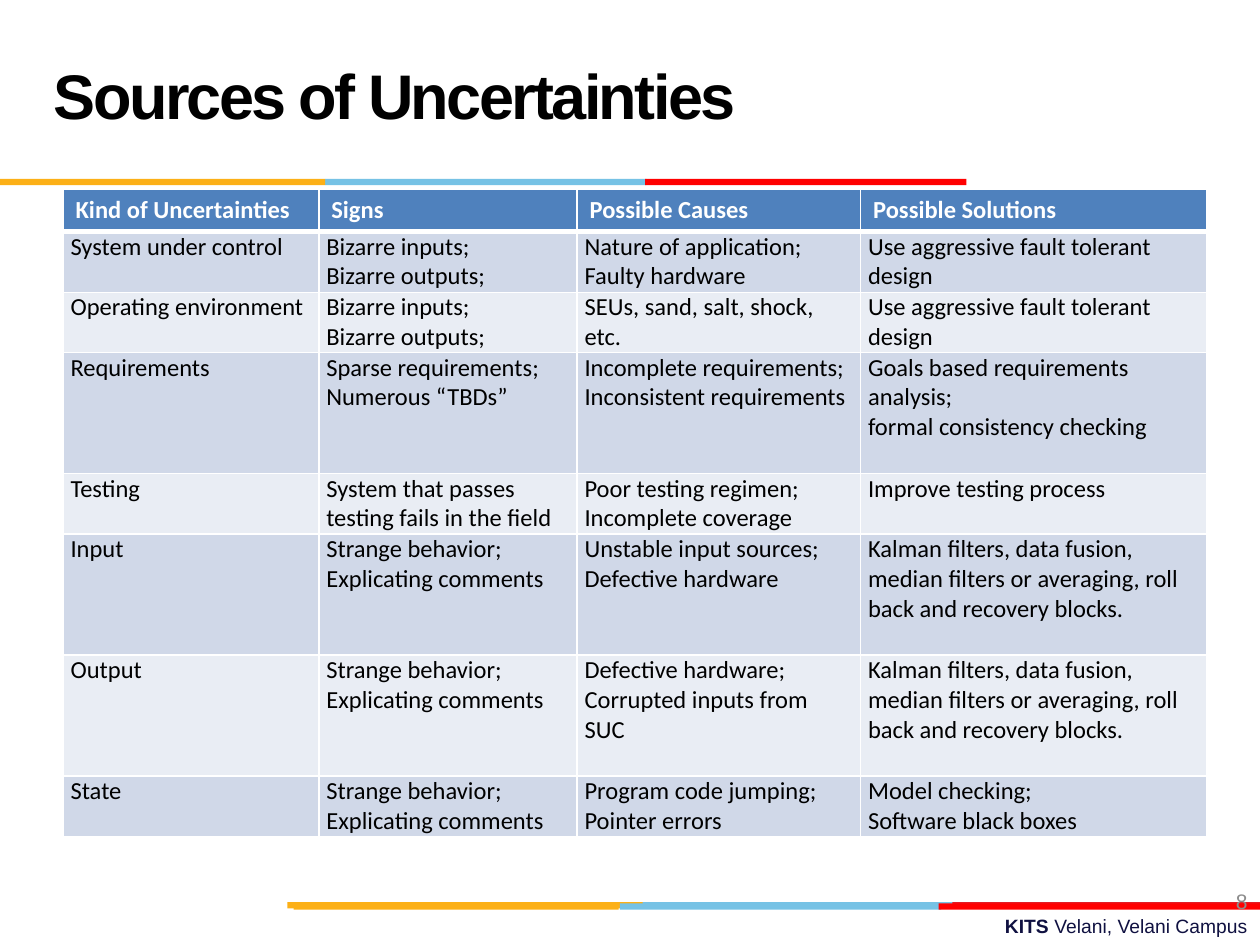
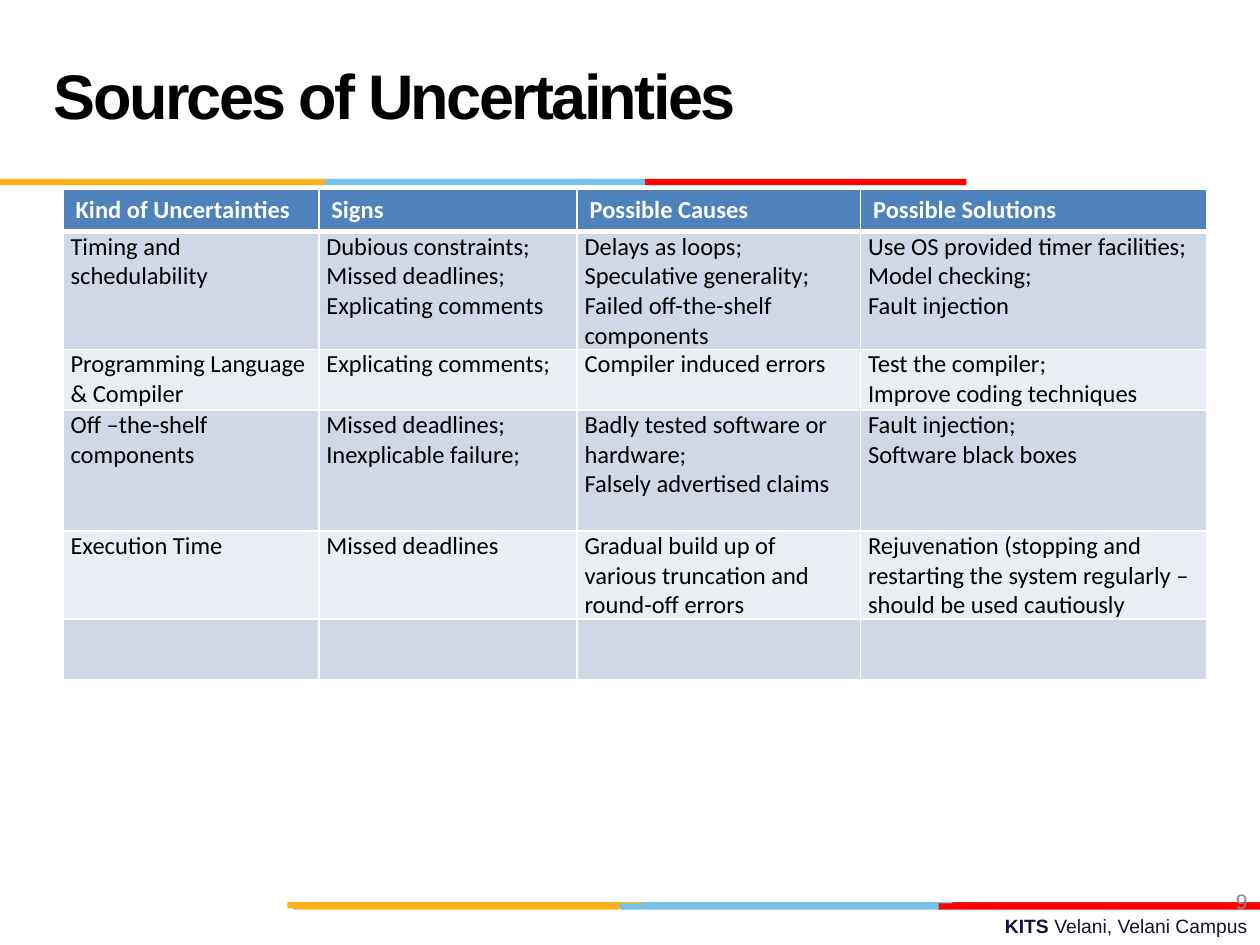
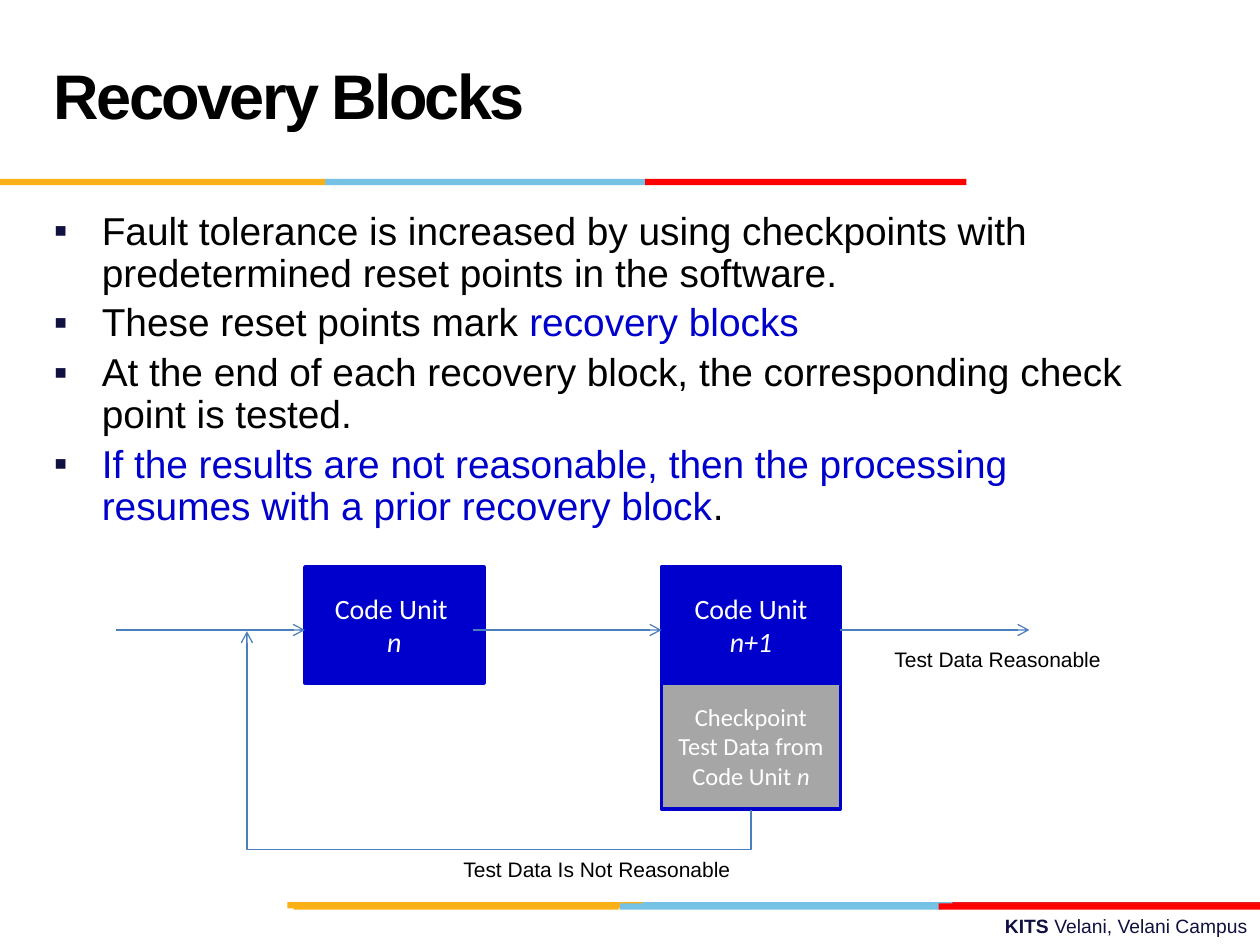
from dataclasses import dataclass

from pptx import Presentation
from pptx.dml.color import RGBColor
from pptx.enum.shapes import MSO_CONNECTOR as CONN, MSO_SHAPE as SHAPE
from pptx.enum.text import MSO_ANCHOR as ANCHOR, PP_ALIGN as ALIGN
from pptx.oxml.ns import qn
from pptx.util import Inches, Pt
from lxml.etree import SubElement


@dataclass(frozen=True)
class Theme:
    head_font: str = "Arial"
    table_font: str = "Calibri"
    black: str = "000000"
    white: str = "FFFFFF"
    navy: str = "101141"
    blue: str = "0000CC"
    gray: str = "A6A6A6"
    number: str = "8C8C8C"
    arrow: str = "4B7EBC"
    gold: str = "FCB017"
    sky: str = "76C2E5"
    crimson: str = "E31C24"
    red: str = "FF0000"
    header: str = "4F81BD"
    rows: tuple = ("D0D8E8", "E9EDF4")
    title_pt: float = 36
    body_pt: float = 22.2
    unit_pt: float = 16
    table_pt: float = 14
    label_pt: float = 12
    footer_pt: float = 11


T = Theme()

BAND_H = 0.05
BANDS = [  # left, top, width, colour
    (5.06, 7.16, 2.55, T.sky), (7.56, 7.16, 2.44, T.crimson), (2.28, 7.16, 2.82, T.gold),
    (4.92, 7.17, 2.55, T.sky), (2.33, 7.17, 2.58, T.gold), (7.45, 7.17, 2.55, T.red),
    (2.58, 1.42, 2.55, T.sky), (0, 1.42, 2.58, T.gold), (5.12, 1.42, 2.55, T.red),
]
FOOTER = [("KITS ", {"bold": True}), ("Velani, Velani Campus", {})]

COLUMNS = [("Kind of Uncertainties", 2.03), ("Signs", 2.05),
           ("Possible Causes", 2.25), ("Possible Solutions", 2.75)]
HEADER_H = 0.34
FILTERS = "Kalman filters, data fusion, median filters or averaging, roll back and recovery blocks."
STRANGE = "Strange behavior;\nExplicating comments"
BIZARRE = "Bizarre inputs;\nBizarre outputs;"
TOLERANT = "Use aggressive fault tolerant design"

TABLES = [  # title, page number, rows of (height, cells)
    ("Sources of Uncertainties", "8", [
        (0.48, ["System under control", BIZARRE,
                "Nature of application;\nFaulty hardware", TOLERANT]),
        (0.48, ["Operating environment", BIZARRE, "SEUs, sand, salt, shock, etc.", TOLERANT]),
        (0.96, ["Requirements", "Sparse requirements; Numerous “TBDs”",
                "Incomplete requirements;\nInconsistent requirements",
                "Goals based requirements analysis;\nformal consistency checking"]),
        (0.48, ["Testing", "System that passes testing fails in the field",
                "Poor testing regimen;\nIncomplete coverage", "Improve testing process"]),
        (0.96, ["Input", STRANGE, "Unstable input sources;\nDefective hardware", FILTERS]),
        (0.96, ["Output", STRANGE, "Defective hardware;\nCorrupted inputs from SUC", FILTERS]),
        (0.48, ["State", STRANGE, "Program code jumping;\nPointer errors",
                "Model checking;\nSoftware black boxes"]),
    ]),
    ("Sources of Uncertainties", "9", [
        (0.48, ["Timing and schedulability",
                "Dubious constraints;\nMissed deadlines;\nExplicating comments",
                "Delays as loops;\nSpeculative generality;\nFailed off-the-shelf components",
                "Use OS provided timer facilities;\nModel checking;\nFault injection"]),
        (0.48, ["Programming Language & Compiler", "Explicating comments;",
                "Compiler induced errors", "Test the compiler;\nImprove coding techniques"]),
        (0.96, ["Off –the-shelf components", "Missed deadlines;\nInexplicable failure;",
                "Badly tested software or hardware;\nFalsely advertised claims",
                "Fault injection;\nSoftware black boxes"]),
        (0.48, ["Execution Time", "Missed deadlines",
                "Gradual build up of various truncation and round-off errors",
                "Rejuvenation (stopping and restarting the system regularly – "
                "should be used cautiously"]),
        (0.48, ["", "", "", ""]),
    ]),
]

KEY = {"color": T.blue}
ITALIC = {"italic": True}
RECOVERY_TITLE = "Recovery Blocks"
BULLETS = [
    [("Fault tolerance is increased by using checkpoints with predetermined reset points "
      "in the software.", {})],
    [("These reset points mark ", {}), ("recovery blocks", KEY)],
    [("At the end of each recovery block, the corresponding check point is tested.", {})],
    [("If the results are not reasonable, then the processing resumes with a prior "
      "recovery block", KEY), (".", {})],
]
BOX_W, UNIT_H, CHECK_H = 1.42, 0.92, 1
UNIT_TOP, FLOW_Y, FLOW_W = 4.5, 5, 1.5
BOXES = [  # left, top, height, fill, size, paragraphs
    (2.42, UNIT_TOP, UNIT_H, T.blue, T.unit_pt, [[("Code Unit ", {})], [("n", ITALIC)]]),
    (5.25, UNIT_TOP, UNIT_H, T.blue, T.unit_pt, [[("Code Unit ", {}), ("n+1", ITALIC)]]),
    (5.25, UNIT_TOP + UNIT_H, CHECK_H, T.gray, T.table_pt,
     [[("Checkpoint Test Data from Code Unit ", {}), ("n", ITALIC)]]),
]
FLOW_STARTS = [0.92, 3.75, 6.67]
RETURN_POINTS = [(5.96, 6.43), (5.96, 6.74), (1.96, 6.74), (1.96, 5.01)]
LABELS = [("Test Data Reasonable", (7, 5.08, 1.85, 0.3)),
          ("Test Data Is Not Reasonable", (3.58, 6.75, 2.34, 0.3))]


def rgb(color):
    return RGBColor.from_string(color)


def inches(*values):
    return [Inches(v) for v in values]


def write(tf, paragraphs, size, color, font=T.head_font, align=None, bold=False):
    """Fill a text frame with paragraphs, each a list of (text, style) runs."""
    for i, runs in enumerate(paragraphs):
        p = tf.paragraphs[0] if i == 0 else tf.add_paragraph()
        if align is not None:
            p.alignment = align
        for text, style in runs:
            r = p.add_run()
            r.text = text
            r.font.name, r.font.size = font, Pt(size)
            r.font.color.rgb = rgb(style.get("color", color))
            r.font.bold = style.get("bold", bold)
            r.font.italic = style.get("italic", False)


def add_text(s, box, paragraphs, size, color, anchor=ANCHOR.TOP, wrap=True, **style):
    tf = s.shapes.add_textbox(*inches(*box)).text_frame
    tf.word_wrap, tf.vertical_anchor = wrap, anchor
    write(tf, paragraphs, size, color, **style)
    return tf


def add_rect(s, box, fill, line=None):
    sp = s.shapes.add_shape(SHAPE.RECTANGLE, *inches(*box))
    sp.shadow.inherit = False
    sp.fill.solid()
    sp.fill.fore_color.rgb = rgb(fill)
    if line:
        sp.line.color.rgb, sp.line.width = rgb(line), Pt(2)
    else:
        sp.line.fill.background()
    return sp


def style_arrow(sp):
    sp.line.color.rgb, sp.line.width = rgb(T.arrow), Pt(0.75)
    SubElement(sp.line._get_or_add_ln(), qn("a:tailEnd"), type="arrow")


def add_slide(prs, title, number=None):
    """Start a slide with the bands, footer, title and optional page number."""
    s = prs.slides.add_slide(prs.slide_layouts[6])
    for left, top, width, color in BANDS:
        add_rect(s, (left, top, width, BAND_H), color)
    add_text(s, (3.58, 7.21, 6.42, 0.29), [FOOTER], T.footer_pt, T.navy, align=ALIGN.RIGHT)
    tf = add_text(s, (0.33, 0.17, 6.92, 1.25), [[(title, {})]], T.title_pt, T.black,
                  anchor=ANCHOR.MIDDLE, bold=True)
    p = tf.paragraphs[0]
    p.line_spacing = Pt(T.title_pt)
    p.runs[0]._r.get_or_add_rPr().set("spc", "-150")
    if number:
        add_text(s, (7.67, 6.95, 2.33, 0.4), [[(number, {})]], T.label_pt, T.number,
                 anchor=ANCHOR.MIDDLE, align=ALIGN.RIGHT)
    return s


def style_cell(cell, fill, bottom_pt=1):
    """Draw white borders, then the fill."""
    tcPr = cell._tc.get_or_add_tcPr()
    for side, width in (("L", 1), ("R", 1), ("T", 1), ("B", bottom_pt)):
        ln = SubElement(tcPr, qn(f"a:ln{side}"), w=str(Pt(width)))
        SubElement(SubElement(ln, qn("a:solidFill")), qn("a:srgbClr"), val=T.white)
    cell.fill.solid()
    cell.fill.fore_color.rgb = rgb(fill)


def add_uncertainty_table(s, rows):
    width = sum(w for _, w in COLUMNS)
    height = HEADER_H + sum(h for h, _ in rows)
    table = s.shapes.add_table(len(rows) + 1, len(COLUMNS),
                               *inches(0.5, 1.5, width, height)).table
    table.rows[0].height = Inches(HEADER_H)
    for c, (heading, col_w) in enumerate(COLUMNS):
        table.columns[c].width = Inches(col_w)
        cell = table.cell(0, c)
        style_cell(cell, T.header, bottom_pt=3)
        write(cell.text_frame, [[(heading, {})]], T.table_pt, T.white, T.table_font, bold=True)
    for i, (row_h, texts) in enumerate(rows):
        table.rows[i + 1].height = Inches(row_h)
        for c, text in enumerate(texts):
            cell = table.cell(i + 1, c)
            cell.margin_left = cell.margin_right = Inches(0.06)
            cell.margin_top = cell.margin_bottom = 0
            style_cell(cell, T.rows[i % 2])
            if text:
                write(cell.text_frame, [[(line, {})] for line in text.split("\n")],
                      T.table_pt, T.black, T.table_font)


def add_bullets(s):
    tf = add_text(s, (0.33, 1.63, 9, 2.78), BULLETS, T.body_pt, T.black)
    for p in tf.paragraphs:
        p.line_spacing, p.space_before = 0.9, Pt(T.body_pt * 0.2)
        pPr = p._p.get_or_add_pPr()
        pPr.set("marL", str(Inches(0.38)))
        pPr.set("indent", str(-Inches(0.38)))
        SubElement(SubElement(pPr, qn("a:buClr")), qn("a:srgbClr"), val=T.navy)
        SubElement(pPr, qn("a:buFont"), typeface=T.head_font)
        SubElement(pPr, qn("a:buChar"), char="▪")


def add_recovery_flow(s):
    for left, top, height, fill, size, paragraphs in BOXES:
        tf = add_rect(s, (left, top, BOX_W, height), fill, T.blue).text_frame
        tf.word_wrap, tf.vertical_anchor = True, ANCHOR.MIDDLE
        write(tf, paragraphs, size, T.white, T.table_font, ALIGN.CENTER)
    for x in FLOW_STARTS:
        flow = s.shapes.add_connector(CONN.STRAIGHT, *inches(x, FLOW_Y, x + FLOW_W, FLOW_Y))
        style_arrow(flow)
        SubElement(flow._element.spPr, qn("a:effectLst"))
    start, *rest = [inches(*point) for point in RETURN_POINTS]
    builder = s.shapes.build_freeform(*start)
    builder.add_line_segments(rest, close=False)
    loop = builder.convert_to_shape()
    loop.shadow.inherit = False
    loop.fill.background()
    style_arrow(loop)
    for text, box in LABELS:
        add_text(s, box, [[(text, {})]], T.label_pt, T.black, wrap=False)


def main():
    prs = Presentation()
    prs.slide_width, prs.slide_height = inches(10, 7.5)
    for title, number, rows in TABLES:
        add_uncertainty_table(add_slide(prs, title, number), rows)
    s = add_slide(prs, RECOVERY_TITLE)
    add_bullets(s)
    add_recovery_flow(s)
    prs.save("out.pptx")


if __name__ == "__main__":
    main()
